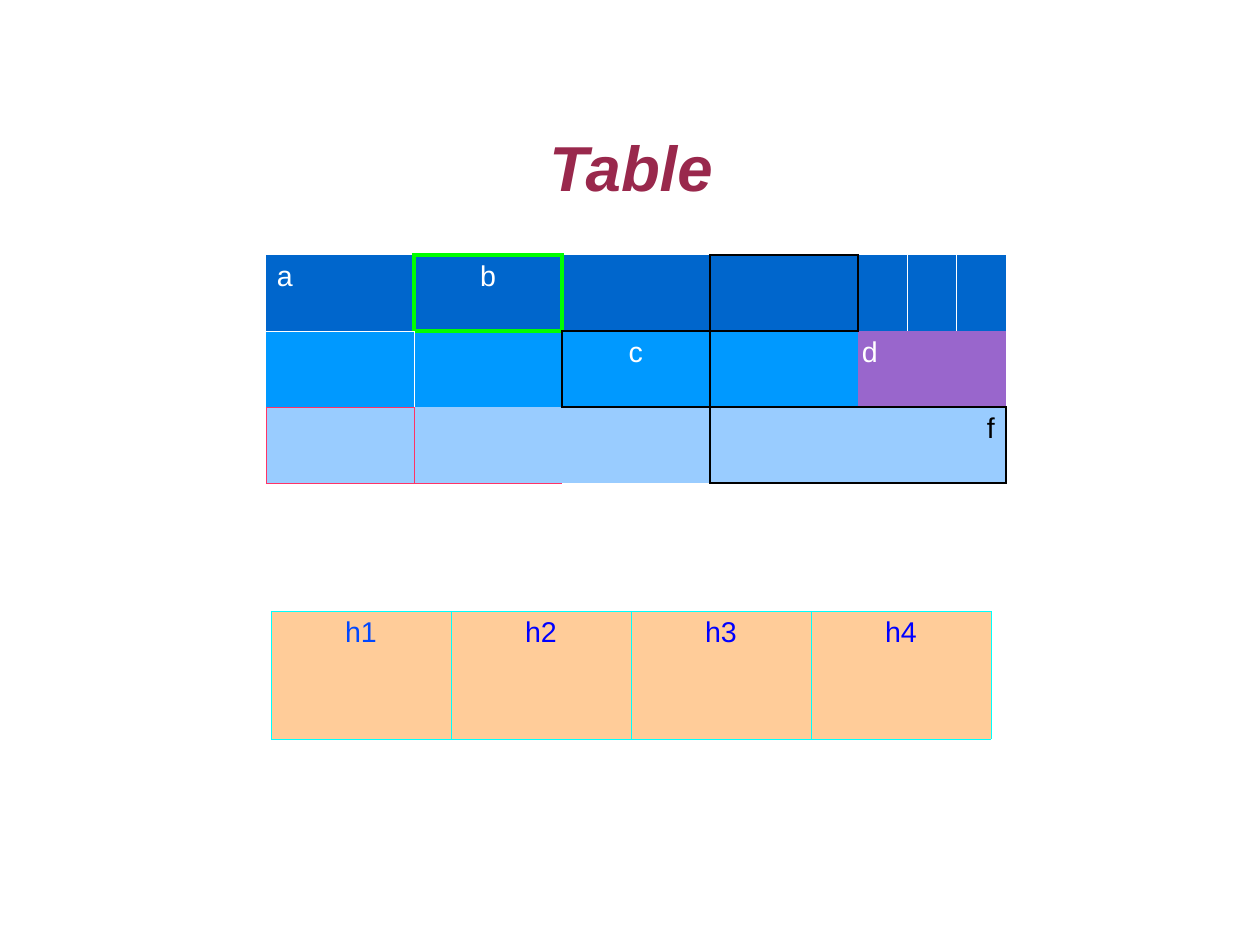
from dataclasses import dataclass
from lxml.etree import SubElement as Sub
from pptx import Presentation
from pptx.dml.color import RGBColor as RGB
from pptx.enum.text import MSO_ANCHOR as Anchor, PP_ALIGN as Align
from pptx.oxml.ns import qn
from pptx.util import Emu, Pt

SCALE = 8000
HAIR, THIN, THICK = 0.06, 1.13, 2.83
NEAR = {"L": (0, -1, "R"), "R": (0, 1, "L"), "T": (-1, 0, "B"), "B": (1, 0, "T")}


@dataclass
class Label:
    row: int
    col: int
    text: str
    color: str = "FFFFFF"
    align: Align = Align.CENTER
    inset: int = 11


@dataclass
class Edge:
    row: int
    cols: range
    sides: str
    color: str
    width: float = HAIR


@dataclass
class Grid:
    left: int
    top: int
    cols: list[int]
    rows: list[int]
    fills: list[str]
    labels: list[Label]
    edges: list[Edge]
    spans: list[tuple[int, int, int]]


def px(size: int) -> Emu:
    return Emu(size * SCALE)


def rgb(code: str) -> RGB:
    return RGB.from_string(code)


def rule(cell, side: str, edge: Edge | None) -> None:
    line = Sub(cell._tc.get_or_add_tcPr(), qn(f"a:ln{side}"))
    if edge is None:
        line.set("w", "0")
        Sub(line, qn("a:noFill"))
        return
    line.set("w", str(Pt(edge.width)))
    fill = Sub(line, qn("a:solidFill"))
    Sub(fill, qn("a:srgbClr")).set("val", edge.color)


def trace(edges: list[Edge]) -> dict[tuple[int, int, str], Edge]:
    lines = {}
    for edge in edges:
        for col in edge.cols:
            for side in edge.sides:
                down, over, back = NEAR[side]
                lines[edge.row, col, side] = edge
                lines[edge.row + down, col + over, back] = edge
    return lines


def write(table, label: Label) -> None:
    cell = table.cell(label.row, label.col)
    cell.margin_left = cell.margin_right = px(label.inset)
    cell.margin_top = cell.margin_bottom = px(6)
    para = cell.text_frame.paragraphs[0]
    para.text, para.alignment = label.text, label.align
    para.font.name, para.font.size = "Arial", Pt(18)
    para.font.color.rgb = rgb(label.color)


def draw(slide, grid: Grid) -> None:
    frame = slide.shapes.add_table(
        len(grid.rows), len(grid.cols), px(grid.left), px(grid.top),
        px(sum(grid.cols)), px(sum(grid.rows)))
    table = frame.table
    table.first_row = table.horz_banding = False
    for col, wide in zip(table.columns, grid.cols):
        col.width = px(wide)
    lines = trace(grid.edges)
    for r, (row, high) in enumerate(zip(table.rows, grid.rows)):
        row.height = px(high)
        for c, cell in enumerate(row.cells):
            for side in NEAR:
                rule(cell, side, lines.get((r, c, side)))
            cell.fill.solid()
            cell.fill.fore_color.rgb = rgb(grid.fills[r])
    for row, first, last in grid.spans:
        table.cell(row, first).merge(table.cell(row, last))
    for label in grid.labels:
        write(table, label)


deck = Presentation()
deck.slide_width, deck.slide_height = px(1260), px(945)
slide = deck.slides.add_slide(deck.slide_layouts[5])

title = slide.shapes.title
title.left, title.top, title.width, title.height = map(px, (93, 87, 1076, 158))
body = title.text_frame
body.margin_left = body.margin_right = body.margin_top = body.margin_bottom = 0
body.vertical_anchor = Anchor.MIDDLE
head = body.paragraphs[0]
head.text, head.alignment = "Table", Align.CENTER
head.font.name, head.font.size = "Arial", Pt(40)
head.font.bold = head.font.italic = True
head.font.color.rgb = rgb("99284C")

blues = Grid(
    266, 255, [148] * 4 + [49, 49, 50], [76] * 3,
    ["0066CC", "0099FF", "99CCFF"],
    [Label(0, 0, "a", align=Align.LEFT),
     Label(0, 1, "b"),
     Label(1, 2, "c"),
     Label(1, 4, "d", align=Align.LEFT, inset=4),
     Label(2, 3, "f", "000000", Align.RIGHT)],
    [Edge(0, range(4, 6), "R", "FFFFFF"),
     Edge(1, range(1), "TR", "FFFFFF"),
     Edge(2, range(1), "LTRB", "FF3366"),
     Edge(2, range(1, 2), "B", "FF3366"),
     Edge(0, range(3, 4), "LTRB", "000000", THIN),
     Edge(1, range(2, 3), "LTRB", "000000", THIN),
     Edge(2, range(3, 7), "LTRB", "000000", THIN),
     Edge(0, range(1, 2), "LTRB", "00FF00", THICK)],
    [(1, 4, 6), (2, 3, 6)])
peach = Grid(
    271, 611, [180] * 4, [64] * 2, ["FFCC99"] * 2,
    [Label(0, col, f"h{col + 1}", "0000FF" if col else "0047FF", inset=4)
     for col in range(4)],
    [Edge(0, range(4), "LTR", "00FFFF"), Edge(1, range(4), "LRB", "00FFFF")],
    [])

draw(slide, blues)
purple = slide.shapes[-1].table.cell(1, 4)
purple.fill.solid()
purple.fill.fore_color.rgb = rgb("9966CC")
draw(slide, peach)
deck.save("out.pptx")
